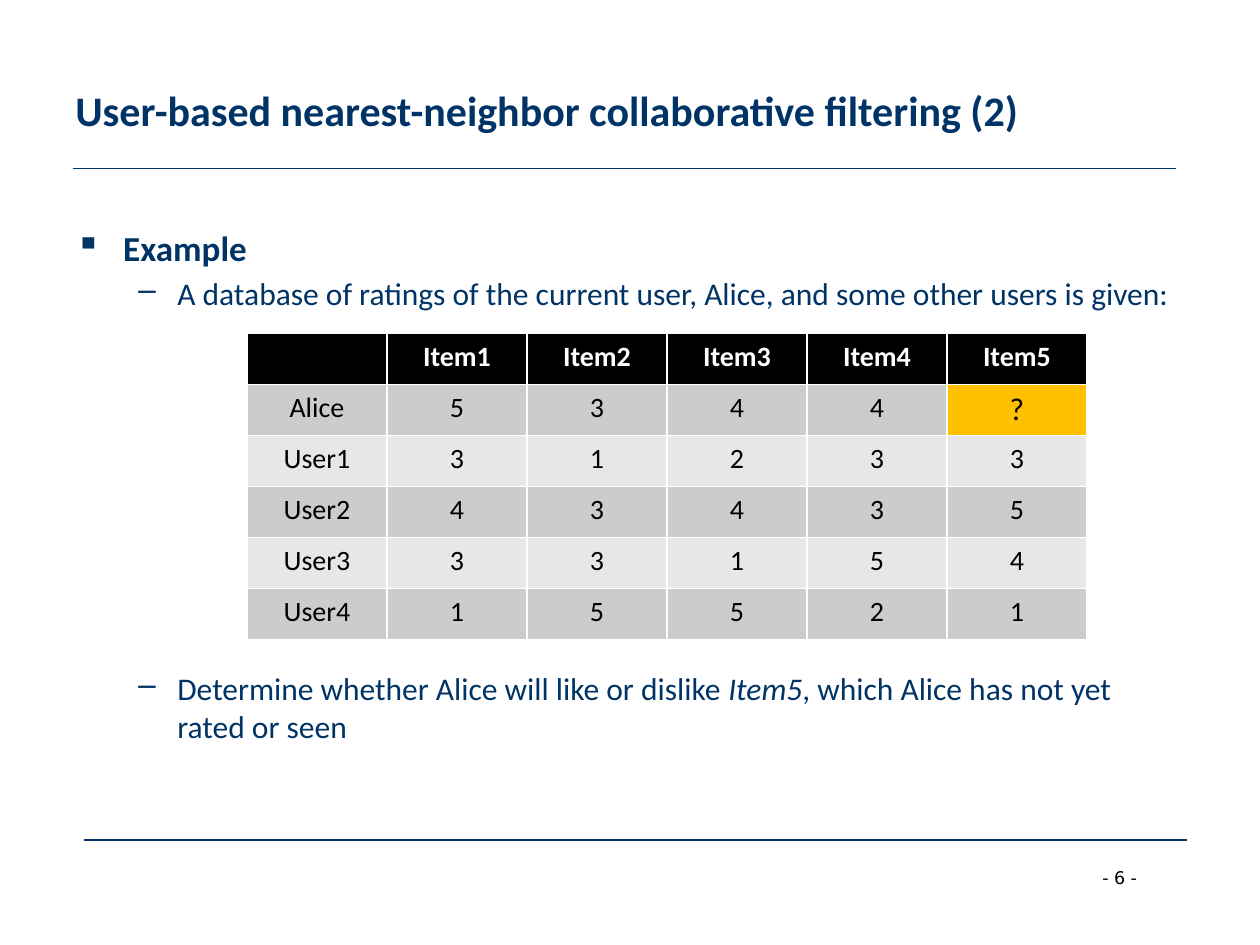
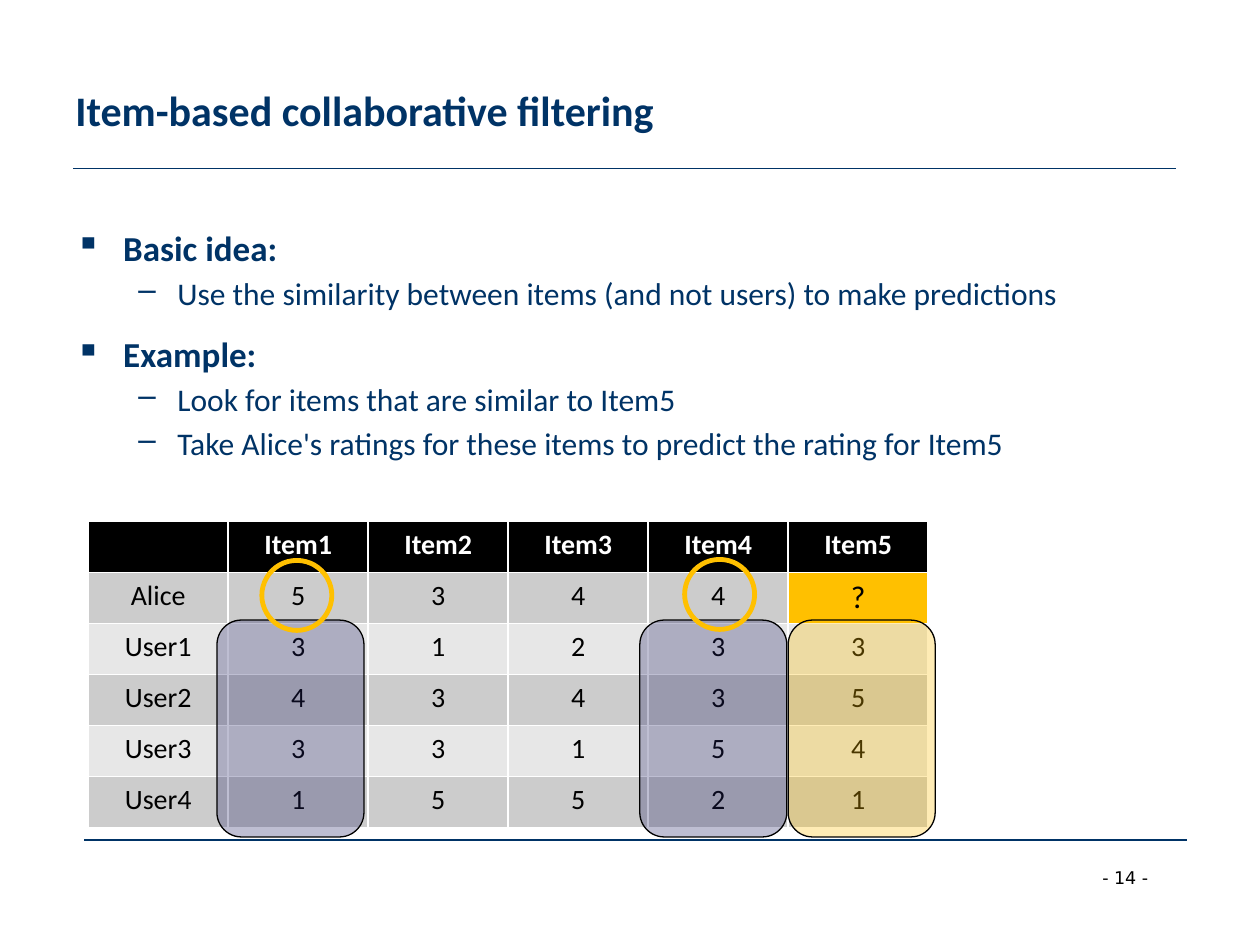
from lxml.etree import SubElement
from pptx import Presentation
from pptx.dml.color import RGBColor
from pptx.enum.shapes import MSO_CONNECTOR, MSO_SHAPE
from pptx.enum.text import MSO_ANCHOR, PP_ALIGN
from pptx.oxml.ns import qn
from pptx.util import Inches, Pt

NAVY = RGBColor(0x00, 0x33, 0x66)
BLACK = RGBColor(0x00, 0x00, 0x00)
WHITE = RGBColor(0xFF, 0xFF, 0xFF)
DARK_BAND = RGBColor(0xCC, 0xCC, 0xCC)
LIGHT_BAND = RGBColor(0xE7, 0xE7, 0xE7)
AMBER = RGBColor(0xFF, 0xC0, 0x00)
INDIGO = RGBColor(0x22, 0x22, 0x67)

presentation = Presentation()
presentation.slide_width = Inches(10)
presentation.slide_height = Inches(7.5)
WIDTH, HEIGHT = presentation.slide_width, presentation.slide_height
COLUMN = WIDTH / 9
ROW = HEIGHT * 0.054
RULE_WIDTH = WIDTH * 0.875
RULES = [(0.058, 0.178), (0.067, 0.889)]

# Per outline level: left margin, first-line indent, bullet, size, bold, space before
LEVELS = [
    (Inches(0.38), Inches(-0.38), "▪", 20, True, 12),
    (Inches(0.81), Inches(-0.31), "–", 18, False, 3.2),
]
TABLE_GAP = 204

RATINGS = [
    ["", "Item1", "Item2", "Item3", "Item4", "Item5"],
    ["Alice", "5", "3", "4", "4", "?"],
    ["User1", "3", "1", "2", "3", "3"],
    ["User2", "4", "3", "4", "3", "5"],
    ["User3", "3", "3", "1", "5", "4"],
    ["User4", "1", "5", "5", "2", "1"],
]

# Outline lines: level, text (underscores enclose italics), space before if special
SLIDES = [
    {
        "title": "User-based nearest-neighbor collaborative filtering (2)",
        "number": 6,
        "outline": [
            (0, "Example", None),
            (1, "A database of ratings of the current user, Alice, "
                "and some other users is given:", None),
            (1, "Determine whether Alice will like or dislike _Item5_, "
                "which Alice has not yet rated or seen", TABLE_GAP),
        ],
        "table_at": (0.196, 0.353),
    },
    {
        "title": "Item-based collaborative filtering",
        "number": 14,
        "outline": [
            (0, "Basic idea:", None),
            (1, "Use the similarity between items (and not users) "
                "to make predictions", None),
            (0, "Example:", None),
            (1, "Look for items that are similar to Item5", None),
            (1, "Take Alice's ratings for these items to predict "
                "the rating for Item5", None),
        ],
        "table_at": (0.07, 0.552),
    },
]


def add_text_frame(slide, left, top, width, height):
    """Add a wrapping text box, placed in shares of the slide's size."""
    box = slide.shapes.add_textbox(
        int(left * WIDTH), int(top * HEIGHT), int(width * WIDTH), int(height * HEIGHT))
    box.text_frame.word_wrap = True
    return box.text_frame


def style_font(font, size, color, bold=False, name="Calibri"):
    font.name, font.size, font.bold = name, Pt(size), bold
    font.color.rgb = color


for content in SLIDES:
    slide = presentation.slides.add_slide(presentation.slide_layouts[6])

    for left, top in RULES:
        x, y = int(left * WIDTH), int(top * HEIGHT)
        rule = slide.shapes.add_connector(
            MSO_CONNECTOR.STRAIGHT, x, y, int(x + RULE_WIDTH), y)
        rule.line.color.rgb = NAVY
        rule.line.width = Pt(0.75)
        SubElement(rule._element.spPr, qn("a:effectLst"))

    paragraph = add_text_frame(slide, 0.865, 0.911, 0.076, 0.036).paragraphs[0]
    paragraph.text = f"- {content['number']} -"
    style_font(paragraph.font, 10, BLACK, name="DejaVu Sans")

    title = add_text_frame(slide, 0.05, 0.033, 0.9, 0.167)
    title.vertical_anchor = MSO_ANCHOR.MIDDLE
    title.paragraphs[0].text = content["title"]
    style_font(title.paragraphs[0].font, 24, NAVY, bold=True)

    body = add_text_frame(slide, 0.05, 0.233, 0.9, 0.66)
    for index, (level, text, special_gap) in enumerate(content["outline"]):
        margin, indent, bullet, size, bold, gap = LEVELS[level]
        paragraph = body.add_paragraph() if index else body.paragraphs[0]
        paragraph.level = level
        paragraph.space_before = Pt(special_gap or gap)
        properties = paragraph._p.get_or_add_pPr()
        properties.set("marL", str(margin))
        properties.set("indent", str(indent))
        SubElement(properties, qn("a:buChar"), char=bullet)
        style_font(paragraph.font, size, NAVY, bold)
        for part, words in enumerate(text.split("_")):
            run = paragraph.add_run()
            run.text = words
            if part % 2:
                run.font.italic = True

    table_left = content["table_at"][0] * WIDTH
    table_top = content["table_at"][1] * HEIGHT
    table = slide.shapes.add_table(
        len(RATINGS), len(RATINGS[0]), int(table_left), int(table_top),
        int(COLUMN * len(RATINGS[0])), int(ROW * len(RATINGS))).table
    for row, values in enumerate(RATINGS):
        for column, value in enumerate(values):
            cell = table.cell(row, column)
            unknown = value == "?"
            band = DARK_BAND if row % 2 else LIGHT_BAND
            cell.fill.solid()
            cell.fill.fore_color.rgb = AMBER if unknown else band if row else BLACK
            paragraph = cell.text_frame.paragraphs[0]
            paragraph.text = value
            paragraph.alignment = PP_ALIGN.CENTER
            style_font(paragraph.font, 18 if unknown else 16,
                       BLACK if row else WHITE, bold=row == 0)

# Marks over the last table, offset in its columns and rows
for left, color in [(5, AMBER), (0.92, INDIGO), (3.94, INDIGO)]:
    highlight = slide.shapes.add_shape(
        MSO_SHAPE.ROUNDED_RECTANGLE,
        int(table_left + left * COLUMN), int(table_top + 1.93 * ROW),
        int(1.05 * COLUMN), int(4.25 * ROW))
    highlight.shadow.inherit = False
    highlight.fill.solid()
    highlight.fill.fore_color.rgb = color
    color_element = highlight._element.spPr.find(qn("a:solidFill"))[0]
    SubElement(color_element, qn("a:alpha"), val="29000")
    highlight.line.color.rgb = BLACK
    highlight.line.width = Pt(0.75)

for left, top in [(1.24, 0.76), (4.26, 0.74)]:
    circle = slide.shapes.add_shape(
        MSO_SHAPE.OVAL, int(table_left + left * COLUMN), int(table_top + top * ROW),
        int(COLUMN / 2), int(COLUMN / 2))
    circle.shadow.inherit = False
    circle.fill.background()
    circle.line.color.rgb = AMBER
    circle.line.width = Pt(2.75)

presentation.save("out.pptx")
